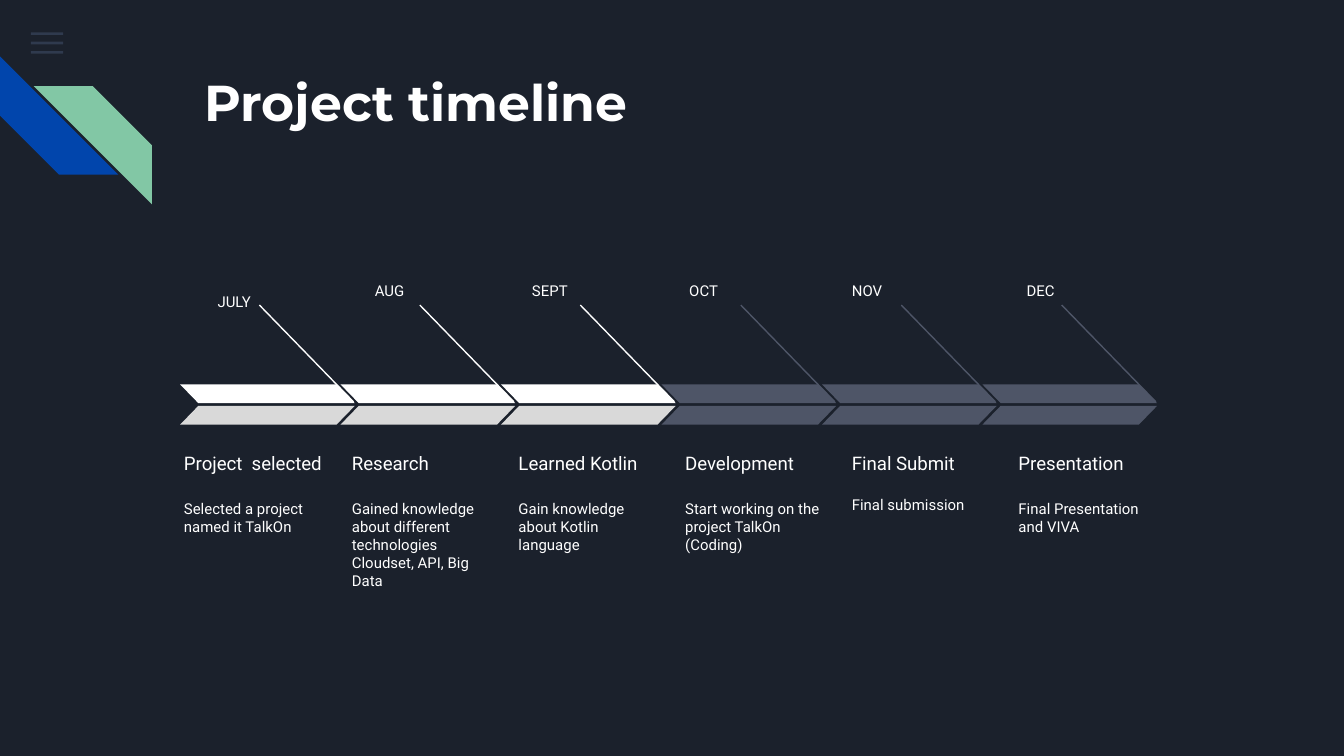
from pptx import Presentation
from pptx.dml.color import RGBColor
from pptx.enum.shapes import MSO_CONNECTOR, MSO_SHAPE
from pptx.enum.text import MSO_ANCHOR
from pptx.oxml.ns import qn
from pptx.util import Inches, Pt
from lxml.etree import SubElement

COLORS = {
    "background": "1B212C", "menu": "55688B", "blue": "0145AC", "green": "82C7A5",
    "white": "FFFFFF", "light": "D9D9D9", "slate": "4E5567",
}
SLIDE_WIDTH = 10
SLIDE_HEIGHT = SLIDE_WIDTH * 9 / 16
TITLE = "Project timeline"
# month, left and top of its label, heading, description, its height, done
STAGES = [
    ("JULY", 1.52, 2.11, "Project  selected",
     "Selected a project named it TalkOn", 0.73, True),
    ("AUG", 2.69, 2.03, "Research",
     "Gained knowledge about different technologies Cloudset, API, Big Data", 0.85, True),
    ("SEPT", 3.86, 2.03, "Learned Kotlin",
     "Gain knowledge about Kotlin language", 0.73, True),
    ("OCT", 5.03, 2.03, "Development",
     "Start working on the project TalkOn (Coding)", 0.73, False),
    ("NOV", 6.24, 2.03, "Final Submit", "Final submission", 0.73, False),
    ("DEC", 7.54, 2.03, "Presentation", "Final Presentation and VIVA", 0.73, False),
]
FIRST_ARROW, LAST_ARROW = 1.34, 7.31
ARROW_STEP = (LAST_ARROW - FIRST_ARROW) / (len(STAGES) - 1)
COLUMN_LEFT, COLUMN_WIDTH, FIRST_EXTRA = 1.28, 1.24, 0.01


def rgb(name):
    return RGBColor.from_string(COLORS[name])


def add_shape(slide, kind, box, color, adjustment=None, flip=False, rotation=0):
    shape = slide.shapes.add_shape(kind, *map(Inches, box))
    shape.shadow.inherit = False
    shape.fill.solid()
    shape.fill.fore_color.rgb = rgb(color)
    shape.line.fill.background()
    shape.rotation = rotation
    if adjustment is not None:
        shape.adjustments[0] = adjustment
    if flip:
        shape._element.spPr.find(qn("a:xfrm")).set("flipH", "1")
    return shape


def add_text(slide, text, box, size, font="Roboto", bold=False, anchor=MSO_ANCHOR.TOP,
             space_after=0):
    text_frame = slide.shapes.add_textbox(*map(Inches, box)).text_frame
    text_frame.word_wrap = True
    text_frame.vertical_anchor = anchor
    text_frame.margin_left = text_frame.margin_right = Inches(0.1)
    text_frame.margin_top = text_frame.margin_bottom = Inches(0.1)
    text_frame.text = text
    paragraph = text_frame.paragraphs[0]
    paragraph.space_after = Pt(space_after)
    run_font = paragraph.runs[0].font
    run_font.name, run_font.size, run_font.bold = font, Pt(size), bold
    run_font.color.rgb = rgb("white")
    # The paragraph end otherwise keeps 18 pt and shifts the last line
    SubElement(paragraph._p, qn("a:endParaRPr")).set("sz", str(size * 100))


def add_line(slide, start, end, color):
    line = slide.shapes.add_connector(MSO_CONNECTOR.STRAIGHT, *map(Inches, start + end))
    line.line.color.rgb = rgb(color)
    line.line.width = Pt(0.75)
    SubElement(line._element.spPr, qn("a:effectLst"))


def add_decoration(slide):
    for row in range(3):
        bar = add_shape(slide, MSO_SHAPE.RECTANGLE,
                        (0.23, 0.24 + 0.07 * row, 0.24, 0.02), "menu")
        color = bar._element.spPr.find(qn("a:solidFill"))[0]
        SubElement(color, qn("a:alpha")).set("val", "36000")
    add_shape(slide, MSO_SHAPE.DIAGONAL_STRIPE, (0, 0.42, 0.88, 0.88), "blue", 0.5,
              rotation=270)
    add_shape(slide, MSO_SHAPE.DIAGONAL_STRIPE, (0.25, 0.64, 0.88, 0.88), "green", 0.5,
              flip=True)


def add_stage(slide, index, stage):
    month, month_left, month_top, heading, description, height, done = stage
    add_text(slide, month, (month_left, month_top, 0.59, 0.23), 8)

    extra = FIRST_EXTRA if index == 0 else 0
    left = COLUMN_LEFT + COLUMN_WIDTH * index - extra
    width = COLUMN_WIDTH + extra
    add_text(slide, heading, (left, 3.17, width, 0.44), 10, anchor=MSO_ANCHOR.BOTTOM)
    add_text(slide, description, (left, 3.62, width, height), 8, space_after=16)

    upper, lower = ("white", "light") if done else ("slate", "slate")
    arrow_left = FIRST_ARROW + ARROW_STEP * index
    add_line(slide, (arrow_left + 0.59, 2.27), (arrow_left + 1.29, 2.99), upper)
    add_shape(slide, MSO_SHAPE.PARALLELOGRAM, (arrow_left, 2.86, 1.3, 0.14), upper, 0.97,
              flip=True)
    add_shape(slide, MSO_SHAPE.PARALLELOGRAM, (arrow_left, 3.02, 1.3, 0.14), lower, 0.97)


def main():
    presentation = Presentation()
    presentation.slide_width = Inches(SLIDE_WIDTH)
    presentation.slide_height = Inches(SLIDE_HEIGHT)
    slide = presentation.slides.add_slide(presentation.slide_layouts[6])
    slide.background.fill.solid()
    slide.background.fill.fore_color.rgb = rgb("background")

    add_decoration(slide)
    add_text(slide, TITLE, (1.42, 0.43, 7.7, 1), 27, font="Montserrat", bold=True)
    for index, stage in enumerate(STAGES):
        add_stage(slide, index, stage)
    presentation.save("out.pptx")


if __name__ == "__main__":
    main()
